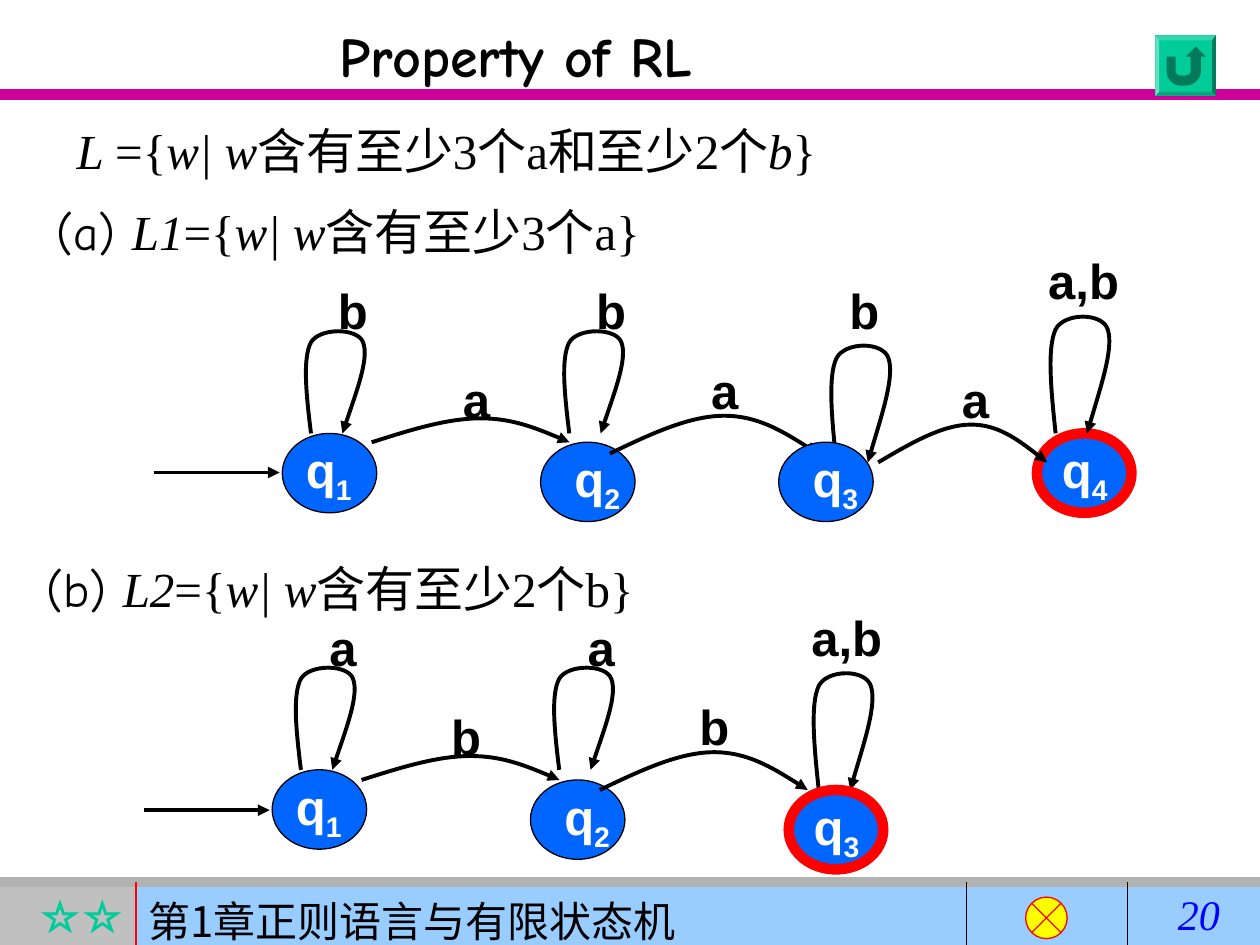
"""Build a slide with two finite automata for a property of regular languages."""
from dataclasses import dataclass

from lxml.etree import SubElement
from pptx import Presentation
from pptx.dml.color import RGBColor
from pptx.enum.shapes import MSO_CONNECTOR, MSO_SHAPE
from pptx.enum.text import MSO_ANCHOR, PP_ALIGN
from pptx.oxml.ns import qn
from pptx.util import Inches, Pt


@dataclass(frozen=True)
class Theme:
    black: str = "000000"
    white: str = "FFFFFF"
    magenta: str = "CC0099"
    green: str = "00CC99"
    state: str = "0066FF"
    red: str = "FF0000"
    yellow: str = "FFFF00"
    number: str = "0000FF"
    gray: str = "C0C0C0"
    rule: str = "B2B2B2"
    sky: str = "99CCFF"
    sans: str = "Arial"
    serif: str = "Times New Roman"
    comic: str = "Comic Neue"
    cjk: str = "Noto Sans CJK SC"
    title: int = 32
    body: int = 28
    footer: int = 24
    thin: float = 0.74
    edge: float = 2.24
    thick: float = 6.01


T = Theme()
TITLE = "Property of RL"
CHAPTER = "第1章正则语言与有限状态机"
STARS = "☆☆"
PAGE = "20"

LANGUAGES = [
    (0.51, 0.91, 8.58, 0.57, "", [("L ", True), ("={", False), ("w| w", True),
                                  ("含有至少3个a和至少2个", False), ("b", True), ("}", False)]),
    (0.35, 1.55, 9.06, 1.04, "(a) ", [("L1", True), ("={", False), ("w| w", True),
                                      ("含有至少3个a}", False)]),
    (0.27, 4.38, 9.06, 1.04, "(b) ", [("L2", True), ("={", False), ("w| w", True),
                                      ("含有至少2个b}", False)]),
]

# state: number, left, top, label shift, accepting
# arc and loop: left, top, size, symbol, symbol centre, symbol top
AUTOMATA = [
    [
        ("state", "2", 4.29, 3.51, 0.17, False),
        ("state", "1", 2.24, 3.44, 0.09, False),
        ("arc", 2.95, 3.32, (1.57, 0.19), "a", 3.78, 2.88),
        ("arc", 4.84, 3.3, (1.65, 0.3), "a", 5.75, 2.81),
        ("loop", 2.4, 2.6, (0.53, 0.84), "b", 2.8, 2.18),
        ("loop", 6.57, 2.71, (0.53, 0.96), "b", 6.86, 2.18),
        ("start", 1.22, 3.75),
        ("state", "4", 8.23, 3.44, 0.1, True),
        ("state", "3", 6.18, 3.51, 0.17, False),
        ("loop", 4.45, 2.6, (0.53, 0.84), "b", 4.85, 2.18),
        ("arc", 6.97, 3.37, (1.34, 0.3), "a", 7.74, 2.88),
        ("loop", 8.31, 2.48, (0.53, 0.96), "a,b", 8.6, 1.94),
    ],
    [
        ("state", "2", 4.21, 6.19, 0.17, False),
        ("state", "1", 2.16, 6.11, 0.09, False),
        ("arc", 2.87, 6, (1.57, 0.19), "b", 3.7, 5.56),
        ("arc", 4.76, 5.97, (1.65, 0.3), "b", 5.67, 5.48),
        ("loop", 2.32, 5.27, (0.53, 0.84), "a", 2.72, 4.85),
        ("start", 1.14, 6.43),
        ("loop", 4.37, 5.27, (0.53, 0.84), "a", 4.77, 4.85),
        ("loop", 6.43, 5.31, (0.53, 0.96), "a,b", 6.72, 4.77),
        ("state", "3", 6.26, 6.27, 0.1, True),
    ],
]

CURVES = {
    "arc": [(0, 1), (0.19, 0.5), (0.38, 0), (0.55, 0), (0.71, 0), (0.86, 0.5), (1, 1)],
    "loop": [(0.13, 1), (0.06, 0.64), (0, 0.29), (0.13, 0.14), (0.26, 0), (0.83, 0),
             (0.91, 0.14), (1, 0.29), (0.79, 0.64), (0.6, 1)],
}
SYMBOL_WIDTHS = {"a": 0.41, "b": 0.44, "a,b": 0.76}

OUTER = [(9.17, 0.28), (9.65, 0.28), (9.65, 0.76), (9.17, 0.76)]
INNER = [(9.2, 0.32), (9.62, 0.32), (9.62, 0.73), (9.2, 0.73)]
BEVELS = ["lightenLess", "darken", "darkenLess", "lighten"]
RETURN_ARROW = [
    [(9.26, 0.45)], [(9.33, 0.45)], [(9.33, 0.57)], [(9.33, 0.59), (9.35, 0.6), (9.37, 0.6)],
    [(9.41, 0.6)], [(9.43, 0.6), (9.45, 0.59), (9.45, 0.57)], [(9.45, 0.45)], [(9.41, 0.45)],
    [(9.49, 0.37)], [(9.57, 0.45)], [(9.53, 0.45)], [(9.53, 0.57)],
    [(9.53, 0.63), (9.47, 0.68), (9.41, 0.68)], [(9.37, 0.68)],
    [(9.31, 0.68), (9.26, 0.63), (9.26, 0.57)],
]

deck = Presentation()
deck.slide_width, deck.slide_height = Inches(10), Inches(7.5)
slide = deck.slides.add_slide(deck.slide_layouts[5])
shapes = slide.shapes


def rgb(color):
    return RGBColor.from_string(color)


def styled(text, font, size, color=T.black, bold=False, italic=False, baseline=0):
    return text, font, size, color, bold, italic, baseline


def write(frame, runs, align=PP_ALIGN.LEFT, wrap=True, anchor=MSO_ANCHOR.TOP):
    frame.word_wrap = wrap
    frame.vertical_anchor = anchor
    paragraph = frame.paragraphs[0]
    paragraph.alignment = align
    for text, font, size, color, bold, italic, baseline in runs:
        run = paragraph.add_run()
        run.text = text
        run.font.name, run.font.size = font, Pt(size)
        run.font.bold, run.font.italic = bold, italic
        run.font.color.rgb = rgb(color)
        properties = run._r.get_or_add_rPr()
        SubElement(properties, qn("a:ea")).set("typeface", T.cjk)
        if baseline:
            properties.set("baseline", str(baseline))


def add_text(box, runs, **options):
    write(shapes.add_textbox(*map(Inches, box)).text_frame, runs, **options)


def paint(shape, fill):
    shape.shadow.inherit = False
    shape.fill.solid()
    shape.fill.fore_color.rgb = rgb(fill)
    shape.line.fill.background()


def stroke(shape, color, weight, arrow=False):
    shape.line.color.rgb = rgb(color)
    shape.line.width = Pt(weight)
    if arrow:
        SubElement(shape.line._get_or_add_ln(), qn("a:tailEnd")).set("type", "triangle")


def add_filled(preset, box, fill):
    shape = shapes.add_shape(preset, *map(Inches, box))
    paint(shape, fill)
    return shape


def add_line(x1, y1, x2, y2, color, weight, arrow=False):
    line = shapes.add_connector(MSO_CONNECTOR.STRAIGHT, *map(Inches, (x1, y1, x2, y2)))
    stroke(line, color, weight, arrow)
    SubElement(line._element.spPr, qn("a:effectLst"))


def add_outline(contours, closed):
    """Draw contours of (shade, segments); one point is a line, three are a curve."""
    points = [tuple(map(Inches, p)) for _, segments in contours for s in segments for p in s]
    builder = shapes.build_freeform(*points[0])
    builder.add_line_segments(points[1:], close=closed)
    shape = builder.convert_to_shape()
    paths = shape._element.spPr.find(".//" + qn("a:pathLst"))
    paths.clear()
    for shade, segments in contours:
        contour = SubElement(paths, qn("a:path"), w=str(shape.width), h=str(shape.height), fill=shade)
        for index, segment in enumerate(segments):
            tag = "a:moveTo" if index == 0 else "a:cubicBezTo" if len(segment) == 3 else "a:lnTo"
            command = SubElement(contour, qn(tag))
            for x, y in segment:
                SubElement(command, qn("a:pt"), x=str(Inches(x) - shape.left),
                           y=str(Inches(y) - shape.top))
        if closed:
            SubElement(contour, qn("a:close"))
    return shape


def add_transition(kind, left, top, size, symbol, center, symbol_top):
    points = [(left + x * size[0], top + y * size[1]) for x, y in CURVES[kind]]
    segments = [points[:1]] + [points[i:i + 3] for i in range(1, len(points), 3)]
    curve = add_outline([("none", segments)], closed=False)
    curve.fill.background()
    curve.shadow.inherit = False
    stroke(curve, T.black, T.edge, arrow=True)
    width = SYMBOL_WIDTHS[symbol]
    add_text((center - width / 2, symbol_top, width, 0.57),
             [styled(symbol, T.sans, T.body, bold=True)], align=PP_ALIGN.CENTER, wrap=False)


def add_state(number, left, top, shift, accepting):
    circle = add_filled(MSO_SHAPE.OVAL, (left, top, 0.75, 0.63), T.state)
    stroke(circle, *((T.red, T.thick) if accepting else (T.black, T.thin)))
    add_text((left + shift, top, 0.56, 0.63),
             [styled("q", T.sans, T.body, T.white, True),
              styled(number, T.sans, T.body, T.white, True, baseline=-25000)],
             align=PP_ALIGN.CENTER, wrap=False)


add_line(0, 0.75, 10, 0.75, T.magenta, T.thick)
stars = add_filled(MSO_SHAPE.RECTANGLE, (0, 7, 1.08, 0.5), T.gray)
write(stars.text_frame, [styled(STARS, T.serif, T.footer, T.green, True)], PP_ALIGN.RIGHT)
chapter = add_filled(MSO_SHAPE.RECTANGLE, (1.08, 7, 8.92, 0.57), T.sky)
write(chapter.text_frame, [styled(CHAPTER, T.cjk, T.footer), styled(" ", T.serif, T.body)],
      anchor=MSO_ANCHOR.MIDDLE)
add_line(0, 7, 10, 7, T.rule, T.thick)
for x, color in [(1.08, T.red), (7.67, T.black), (8.95, T.black)]:
    add_line(x, 7, x, 7.5, color, T.thin)
junction = add_filled(MSO_SHAPE.FLOWCHART_SUMMING_JUNCTION, (8.14, 7.12, 0.33, 0.33), T.yellow)
stroke(junction, T.red, T.thin)
add_text((9.25, 7, 0.75, 0.5), [styled(PAGE, T.serif, T.footer, T.number, italic=True)])

title = shapes.title
title.left, title.top, title.width, title.height = map(Inches, (0.67, 0.12, 6.85, 0.64))
write(title.text_frame, [styled(TITLE, T.comic, T.title, bold=True)],
      PP_ALIGN.CENTER, anchor=MSO_ANCHOR.MIDDLE)

for left, top, width, height, item, definition in LANGUAGES:
    marker = [styled(item, T.comic, T.body)] if item else []
    add_text((left, top, width, height),
             marker + [styled(text, T.serif, T.body, italic=italic) for text, italic in definition])

faces = [("norm", [[p] for p in OUTER])]
for side, shade in enumerate(BEVELS):
    after = (side + 1) % 4
    faces.append((shade, [[p] for p in (OUTER[side], OUTER[after], INNER[after], INNER[side])]))
paint(add_outline(faces + [("darken", RETURN_ARROW)], closed=True), T.green)

for automaton in AUTOMATA:
    for kind, *details in automaton:
        if kind == "state":
            add_state(*details)
        elif kind == "start":
            x, y = details
            add_line(x, y, x + 1, y, T.black, T.edge, arrow=True)
        else:
            add_transition(kind, *details)

deck.save("out.pptx")
